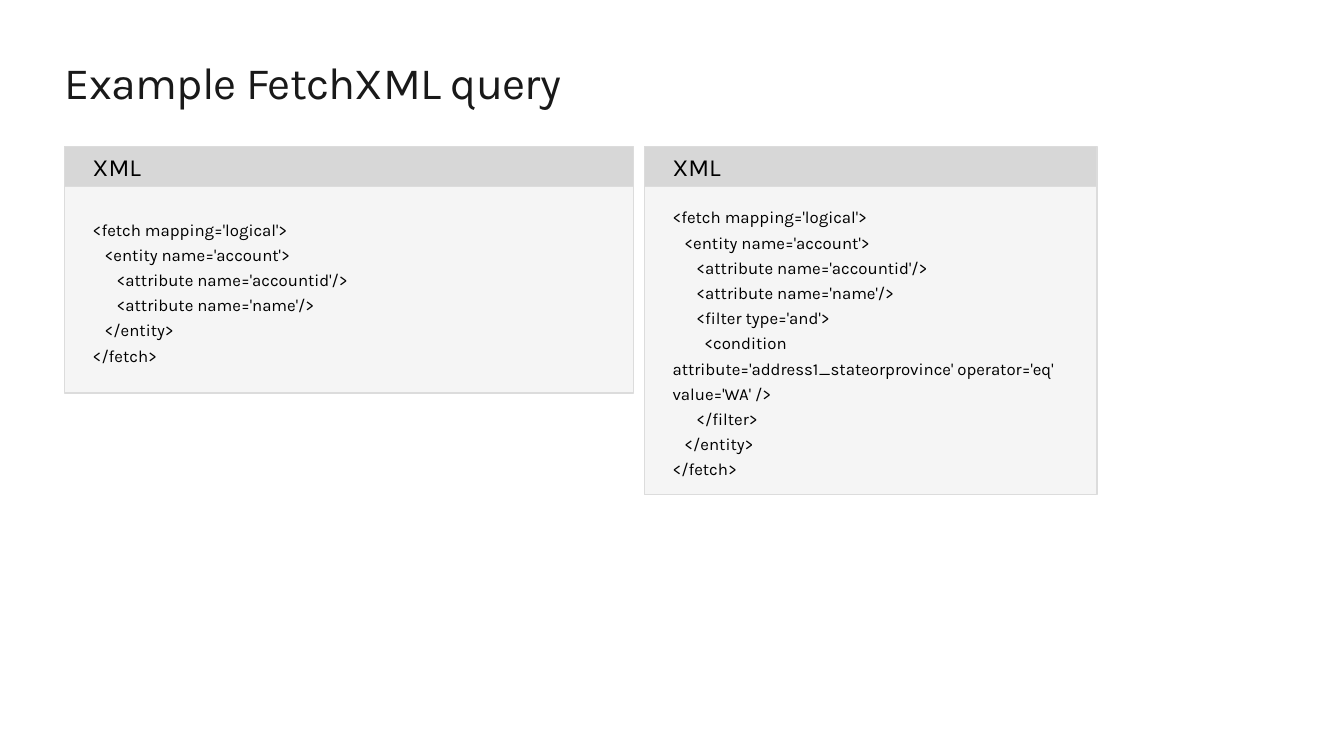
from dataclasses import dataclass

from pptx import Presentation
from pptx.dml.color import RGBColor
from pptx.enum.shapes import MSO_SHAPE
from pptx.enum.text import MSO_ANCHOR, PP_ALIGN
from pptx.util import Inches, Pt


@dataclass(frozen=True)
class Theme:
    font: str = "Karla"
    title_color: str = "191919"
    text_color: str = "000000"
    header_fill: str = "D7D7D7"
    code_fill: str = "F5F5F5"
    border: str = "DCDCDC"
    border_width: float = 0.85
    title_size: float = 32
    header_size: float = 17.6
    code_size: float = 12


ACCOUNT_QUERY = """\
<fetch mapping='logical'>
   <entity name='account'>
      <attribute name='accountid'/>
      <attribute name='name'/>
   </entity>
</fetch>"""

FILTERED_QUERY = """\
<fetch mapping='logical'>
   <entity name='account'>
      <attribute name='accountid'/>
      <attribute name='name'/>
      <filter type='and'>
        <condition attribute='address1_stateorprovince' operator='eq' value='WA' />
      </filter>
   </entity>
</fetch>"""

HEADER_TOP = 1.45
HEADER_HEIGHT = 0.4


class SlideBuilder:
    def __init__(self, slide, theme):
        self.slide = slide
        self.theme = theme

    def set_text(self, shape, lines, size, color, insets, anchor, line_spacing=1.0):
        """Fill a shape with one paragraph per line; insets are left, top, right, bottom."""
        frame = shape.text_frame
        frame.word_wrap = True
        frame.vertical_anchor = anchor
        (frame.margin_left, frame.margin_top,
         frame.margin_right, frame.margin_bottom) = map(Inches, insets)
        for index, line in enumerate(lines):
            paragraph = frame.add_paragraph() if index else frame.paragraphs[0]
            paragraph.alignment = PP_ALIGN.LEFT
            paragraph.line_spacing = line_spacing
            run = paragraph.add_run()
            run.text = line
            run.font.name = self.theme.font
            run.font.size = Pt(size)
            run.font.color.rgb = RGBColor.from_string(color)

    def title(self, text):
        box = self.slide.shapes.add_textbox(
            Inches(0.64), Inches(0.5), Inches(12.05), Inches(0.6))
        self.set_text(box, [text], self.theme.title_size, self.theme.title_color,
                      (0, 0.1, 0.16, 0.1), MSO_ANCHOR.TOP, 0.9)
        run = box.text_frame.paragraphs[0].runs[0]
        run._r.get_or_add_rPr().set("spc", "-50")

    def panel(self, left, top, width, height, fill):
        shape = self.slide.shapes.add_shape(
            MSO_SHAPE.RECTANGLE, Inches(left), Inches(top), Inches(width), Inches(height))
        shape.shadow.inherit = False
        shape.fill.solid()
        shape.fill.fore_color.rgb = RGBColor.from_string(fill)
        shape.line.color.rgb = RGBColor.from_string(self.theme.border)
        shape.line.width = Pt(self.theme.border_width)
        return shape

    def code_card(self, left, width, code_height, language, code):
        theme = self.theme
        body = self.panel(left, HEADER_TOP + HEADER_HEIGHT, width, code_height, theme.code_fill)
        self.set_text(body, code.splitlines(), theme.code_size, theme.text_color,
                      (0.28, 0.28, 0.28, 0.28), MSO_ANCHOR.MIDDLE, 1.25)
        header = self.panel(left, HEADER_TOP, width, HEADER_HEIGHT, theme.header_fill)
        self.set_text(header, [language], theme.header_size, theme.text_color,
                      (0.28, 0.05, 0.1, 0.05), MSO_ANCHOR.MIDDLE)


def main():
    presentation = Presentation()
    presentation.slide_width = Inches(13.33)
    presentation.slide_height = Inches(7.5)
    slide = presentation.slides.add_slide(presentation.slide_layouts[6])

    builder = SlideBuilder(slide, Theme())
    builder.title("Example FetchXML query")
    builder.code_card(0.64, 5.64, 2.05, "XML", ACCOUNT_QUERY)
    builder.code_card(6.39, 4.49, 3.06, "XML", FILTERED_QUERY)

    presentation.save("out.pptx")


if __name__ == "__main__":
    main()
